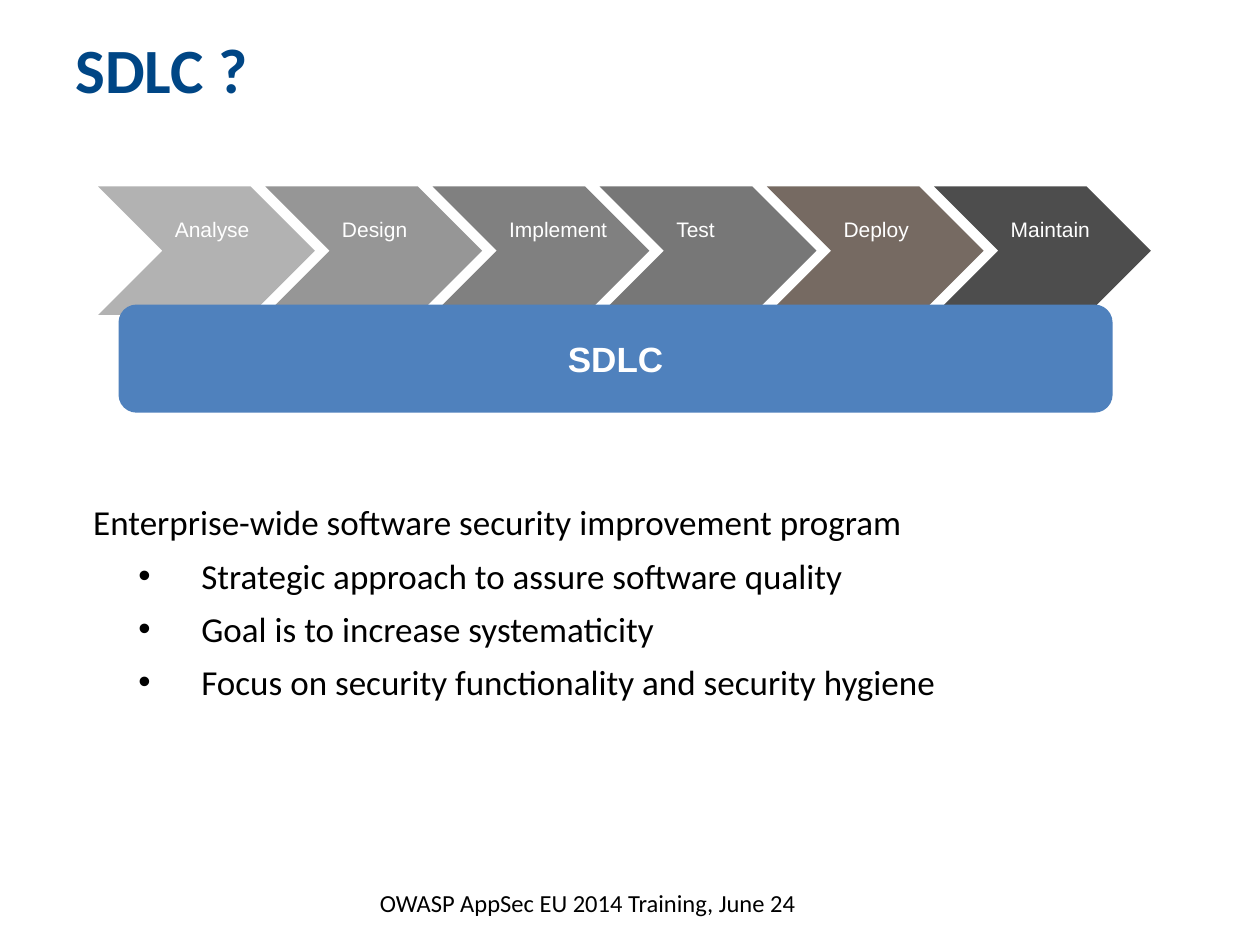
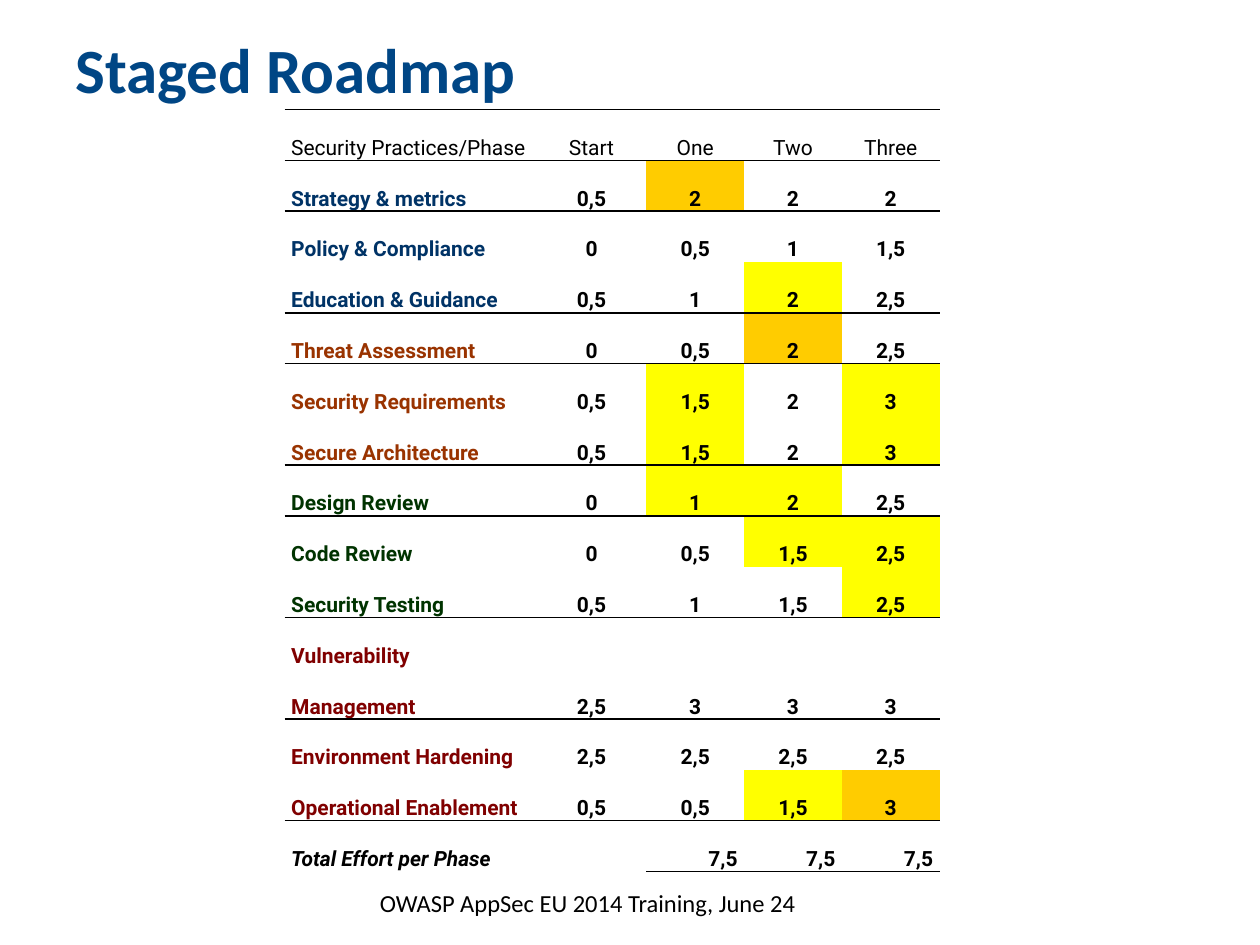
from lxml.etree import SubElement
from pptx import Presentation
from pptx.dml.color import RGBColor
from pptx.enum.shapes import MSO_SHAPE as SHAPE
from pptx.enum.text import MSO_ANCHOR as ANCHOR, PP_ALIGN as ALIGN
from pptx.oxml import parse_xml
from pptx.oxml.ns import nsdecls, qn
from pptx.util import Cm, Pt

BLACK = RGBColor(0, 0, 0)
WHITE = RGBColor(255, 255, 255)
TITLE_BLUE = RGBColor(0x00, 0x46, 0x85)
BAR_BLUE = RGBColor(0x4F, 0x81, 0xBD)
YELLOW = RGBColor(0xFF, 0xFF, 0x00)
ORANGE = RGBColor(0xFF, 0xCC, 0x00)
NAVY = RGBColor(0x00, 0x33, 0x66)
RUST = RGBColor(0x99, 0x33, 0x00)
GREEN = RGBColor(0x00, 0x33, 0x00)
MAROON = RGBColor(0x80, 0x00, 0x00)

FOOTER = "OWASP AppSec EU 2014 Training, June 24"
PHASES = [
    ("Analyse", RGBColor(0xB2, 0xB2, 0xB2)),
    ("Design", RGBColor(0x96, 0x96, 0x96)),
    ("Implement", RGBColor(0x80, 0x80, 0x80)),
    ("Test", RGBColor(0x77, 0x77, 0x77)),
    ("Deploy", RGBColor(0x76, 0x6A, 0x62)),
    ("Maintain", RGBColor(0x4D, 0x4D, 0x4D)),
]
PROGRAM = "Enterprise-wide software security improvement program"
GOALS = [
    "Strategic approach to assure software quality",
    "Goal is to increase systematicity",
    "Focus on security functionality and security hygiene",
]
HEADER = ["Security Practices/Phase", "Start", "One", "Two", "Three"]
PRACTICES = [
    (NAVY, [
        ["Strategy & metrics", "0,5", "2", "2", "2"],
        ["Policy & Compliance", "0", "0,5", "1", "1,5"],
        ["Education & Guidance", "0,5", "1", "2", "2,5"],
    ]),
    (RUST, [
        ["Threat Assessment", "0", "0,5", "2", "2,5"],
        ["Security Requirements", "0,5", "1,5", "2", "3"],
        ["Secure Architecture", "0,5", "1,5", "2", "3"],
    ]),
    (GREEN, [
        ["Design Review", "0", "1", "2", "2,5"],
        ["Code Review", "0", "0,5", "1,5", "2,5"],
        ["Security Testing", "0,5", "1", "1,5", "2,5"],
    ]),
    (MAROON, [
        ["Vulnerability Management", "2,5", "3", "3", "3"],
        ["Environment Hardening", "2,5", "2,5", "2,5", "2,5"],
        ["Operational Enablement", "0,5", "0,5", "1,5", "3"],
    ]),
]
TOTAL = ["Total Effort per Phase", "", "7,5", "7,5", "7,5"]
HIGHLIGHTS = {
    ORANGE: [(1, 2), (4, 3), (12, 4)],
    YELLOW: [(3, 3), (5, 2), (5, 4), (6, 2), (6, 4), (7, 2), (7, 3),
             (8, 3), (8, 4), (9, 4), (12, 3)],
}
COLUMN_WIDTHS = [5.08, 2.21, 1.97, 1.97, 1.97]
ROW_HEIGHT = 1.02
NO_GRID_STYLE = "{2D5ABB26-0587-4C30-8999-92F81FD0307C}"

TITLE_FONT = dict(name="Calibri", size=Pt(36), bold=True, color=TITLE_BLUE)
BODY_FONT = dict(name="Calibri", size=Pt(20), color=BLACK)
FOOTER_FONT = dict(name="Calibri", size=Pt(14), color=BLACK)
PHASE_FONT = dict(name="Arial", size=Pt(12), color=WHITE)
BAR_FONT = dict(name="Arial", size=Pt(20), bold=True, color=WHITE)
CELL_FONT = dict(name="Roboto", size=Pt(12), color=BLACK)


def set_format(target, values):
    for key, value in values.items():
        if key == "color":
            target.color.rgb = value
        else:
            setattr(target, key, value)


def write(p, text, font, **layout):
    set_format(p, layout)
    r = p.add_run()
    r.text = text
    set_format(r.font, font)


def add_text_box(s, box, **frame):
    tf = s.shapes.add_textbox(*map(Cm, box)).text_frame
    margins = dict.fromkeys(
        ["margin_left", "margin_top", "margin_right", "margin_bottom"], Cm(0.25))
    set_format(tf, margins | dict(word_wrap=True) | frame)
    return tf


def add_filled_shape(s, kind, box, color):
    sp = s.shapes.add_shape(kind, *map(Cm, box))
    sp.shadow.inherit = False
    sp.fill.solid()
    sp.fill.fore_color.rgb = color
    sp.line.fill.background()
    return sp


def set_indent(p, left, first, bullet=None):
    pPr = p._p.get_or_add_pPr()
    pPr.set("marL", str(Cm(left)))
    pPr.set("indent", str(Cm(first)))
    if bullet:
        SubElement(pPr, qn("a:buFont")).set("typeface", "Arial")
        SubElement(pPr, qn("a:buChar")).set("char", bullet)


def add_border(cell, side):
    cell._tc.get_or_add_tcPr().insert(0, parse_xml(
        f'<a:{side} {nsdecls("a")} w="12700"><a:solidFill>'
        f'<a:srgbClr val="{BLACK}"/></a:solidFill></a:{side}>'))


def add_slide(prs, title):
    s = prs.slides.add_slide(prs.slide_layouts[6])
    tf = add_text_box(s, (1.27, 0.76, 22.86, 1.25), vertical_anchor=ANCHOR.MIDDLE)
    write(tf.paragraphs[0], title, TITLE_FONT)
    tf = add_text_box(s, (4.37, 17.65, 14.96, 1.02))
    write(tf.paragraphs[0], FOOTER, FOOTER_FONT, alignment=ALIGN.CENTER)
    return s


def build_sdlc(prs):
    s = add_slide(prs, "SDLC ?")
    for i, (phase, color) in enumerate(PHASES):
        sp = add_filled_shape(s, SHAPE.CHEVRON, (1.98 + i * 3.37, 3.76, 4.37, 2.59), color)
        tf = sp.text_frame
        set_format(tf, dict(word_wrap=False, vertical_anchor=ANCHOR.TOP,
                            margin_top=Cm(0.61), margin_right=Cm(0.05)))
        write(tf.paragraphs[0], phase, PHASE_FONT, alignment=ALIGN.LEFT)

    bar = add_filled_shape(s, SHAPE.ROUNDED_RECTANGLE, (2.39, 6.14, 20.04, 2.18), BAR_BLUE)
    tf = bar.text_frame
    tf.vertical_anchor = ANCHOR.MIDDLE
    write(tf.paragraphs[0], "SDLC", BAR_FONT, alignment=ALIGN.CENTER)

    tf = add_text_box(s, (1.27, 9.85, 22.86, 5))
    p = tf.paragraphs[0]
    set_indent(p, 0.36, 0)
    write(p, PROGRAM, BODY_FONT)
    for goal in GOALS:
        p = tf.add_paragraph()
        p.space_before = Pt(6.4)
        set_indent(p, 2.54, -1.27, "•")
        write(p, goal, BODY_FONT)


def build_roadmap(prs):
    s = add_slide(prs, "Staged Roadmap")
    rows = [(HEADER, {})]
    ruled = {0}
    for color, practices in PRACTICES:
        rows += [(values, dict(bold=True, color=color)) for values in practices]
        ruled.add(len(rows) - 1)
    rows.append((TOTAL, dict(bold=True, italic=True)))
    last = len(rows) - 1
    fills = {place: color for color, places in HIGHLIGHTS.items() for place in places}

    frame = s.shapes.add_table(len(rows), len(HEADER), Cm(5.74), Cm(2.21),
                               Cm(sum(COLUMN_WIDTHS)), Cm(ROW_HEIGHT * (len(rows) + 1)))
    table = frame.table
    set_format(table, dict(first_row=False, horz_banding=False))
    table._tbl.tblPr.find(qn("a:tableStyleId")).text = NO_GRID_STYLE
    for column, width in zip(table.columns, COLUMN_WIDTHS):
        column.width = Cm(width)

    for i, (values, label_font) in enumerate(rows):
        lines = 2 if values[0].startswith("Vulnerability") else 1
        table.rows[i].height = Cm(ROW_HEIGHT * lines)
        for j, text in enumerate(values):
            cell = table.cell(i, j)
            set_format(cell, dict(vertical_anchor=ANCHOR.BOTTOM, margin_left=Cm(0.13),
                                  margin_right=Cm(0.13), margin_top=0, margin_bottom=0))
            if (i, j) in fills:
                cell.fill.solid()
                cell.fill.fore_color.rgb = fills[i, j]
            else:
                cell.fill.background()
            if i in ruled or (i == last and j > 1):
                add_border(cell, "a:lnB"[2:])
            if i == 0 or i - 1 in ruled:
                add_border(cell, "lnT")
            if text:
                font = CELL_FONT | (label_font if j == 0 else dict(bold=i > 0))
                value_align = ALIGN.RIGHT if i == last else ALIGN.CENTER
                write(cell.text_frame.paragraphs[0], text, font, line_spacing=Pt(29),
                      alignment=ALIGN.LEFT if j == 0 else value_align)


def main():
    prs = Presentation()
    prs.slide_width, prs.slide_height = Cm(25.4), Cm(19.05)
    build_sdlc(prs)
    build_roadmap(prs)
    prs.save("out.pptx")


if __name__ == "__main__":
    main()
